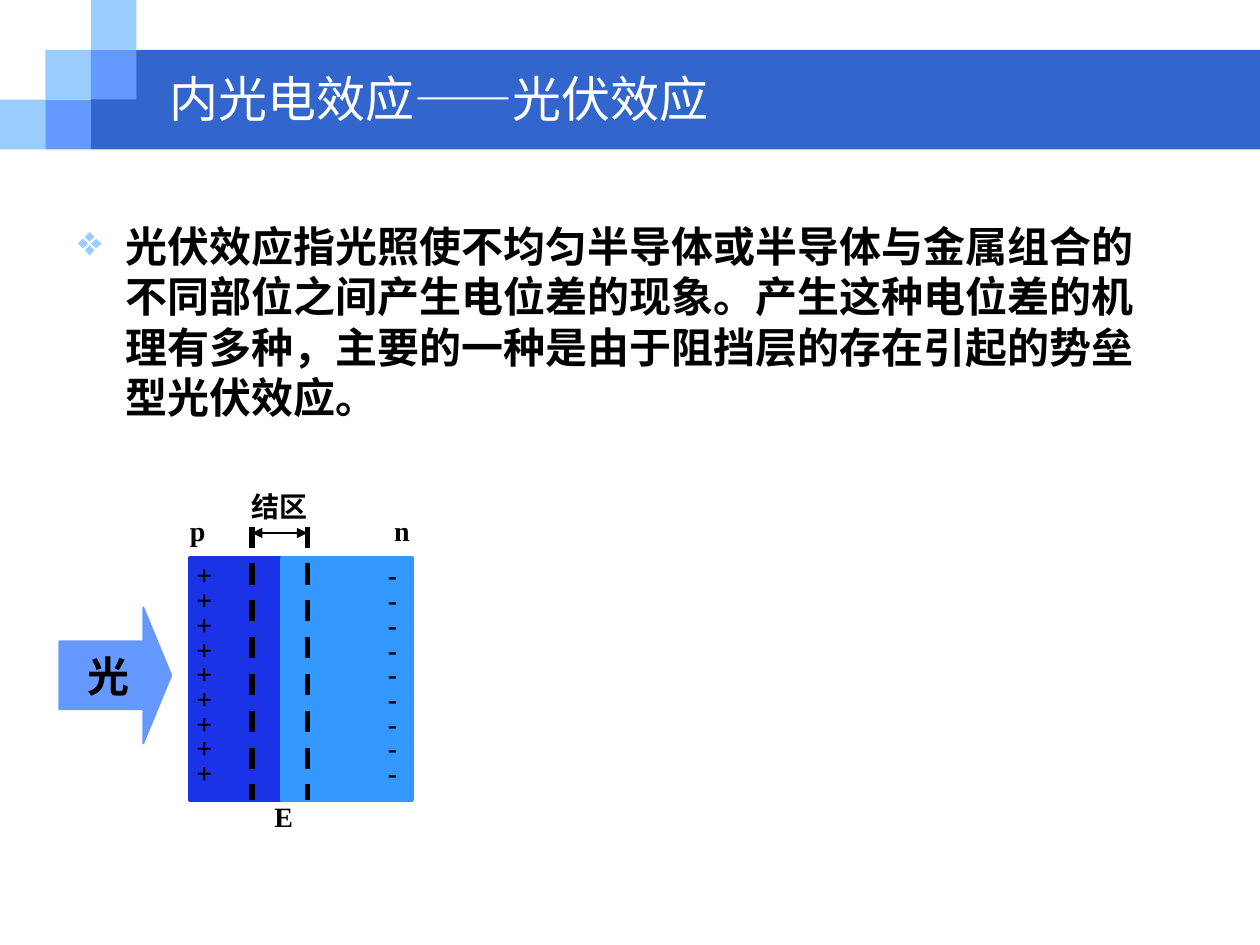
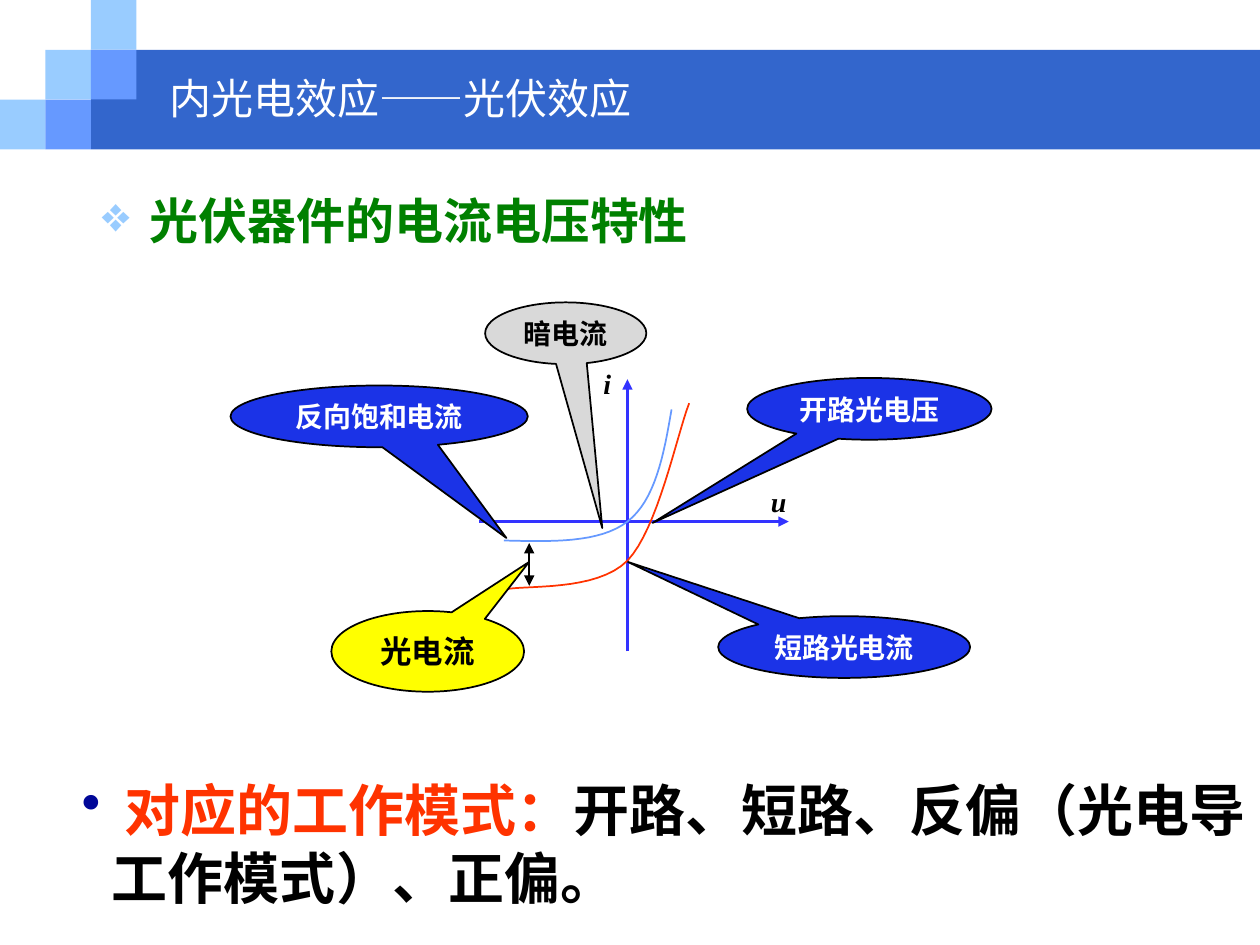
from pptx import Presentation
from pptx.dml.color import RGBColor
from pptx.enum.dml import MSO_LINE
from pptx.enum.shapes import MSO_CONNECTOR, MSO_SHAPE as SHAPE
from pptx.enum.text import MSO_ANCHOR as ANCHOR, PP_ALIGN as ALIGN
from pptx.oxml.ns import qn
from pptx.util import Inches, Pt
from lxml.etree import SubElement

COLS, ROWS = 100, 75
CELL = Inches(0.1)
BLACK, WHITE = "000000", "FFFFFF"
BAND, PALE, MID = "3366CC", "99CCFF", "6699FF"
DEEP, SKY, AXIS = "1B33E7", "3399FF", "3333FF"
RED, GREEN, YELLOW, GREY, NAVY = "FF3300", "008000", "FFFF00", "D9D9D9", "000798"
SERIF, SANS, TITLE_FONT, CJK = "Times New Roman", "DejaVu Sans", "Arial", "Noto Sans CJK SC"
LEADING = 1.2
TILE_W, TILE_H = 3.61, 3.95


def rgb(color):
    """Turn a hex string into a colour."""
    return RGBColor.from_string(color)


def grid(*cells):
    """Turn grid cells into slide lengths."""
    return [round(c * CELL) for c in cells]


def set_bullet(p, char, color, hang):
    """Give a paragraph a coloured bullet and a hanging indent."""
    pPr = p._p.get_or_add_pPr()
    indent = grid(hang)[0]
    pPr.set("marL", str(indent))
    pPr.set("indent", str(-indent))
    SubElement(SubElement(pPr, qn("a:buClr")), qn("a:srgbClr")).set("val", color)
    SubElement(pPr, qn("a:buChar")).set("char", char)


def style_runs(p, size, colors, font, bold, italic=False):
    """Format the runs of a paragraph, one colour each."""
    p.line_spacing = Pt(size * LEADING)
    for r, color in zip(p.runs, colors):
        f = r.font
        f.size, f.name, f.bold, f.italic = Pt(size), font, bold, italic
        f.color.rgb = rgb(color)
        SubElement(r._r.get_or_add_rPr(), qn("a:ea")).set("typeface", CJK)


def add_text(s, box, runs, size, font=SERIF, bold=True, italic=False,
             bullet=None, anchor=ANCHOR.TOP):
    """Add a text box from (text, colour) runs."""
    tf = s.shapes.add_textbox(*grid(*box)).text_frame
    tf.word_wrap = True
    tf.vertical_anchor = anchor
    p = tf.paragraphs[0]
    if bullet:
        set_bullet(p, *bullet)
    for text, _ in runs:
        p.add_run().text = text
    style_runs(p, size, [color for _, color in runs], font, bold, italic)


def add_label(s, x, y, text, width=3.4, italic=False):
    """Add a short bold diagram label."""
    add_text(s, (x, y, width, 3.7), [(text, BLACK)], 16, italic=italic)


def add_block(s, kind, box, fill, line=None, weight=1, adjust=()):
    """Add a flat filled preset shape."""
    sp = s.shapes.add_shape(kind, *grid(*box))
    sp.shadow.inherit = False
    sp.fill.solid()
    sp.fill.fore_color.rgb = rgb(fill)
    if line:
        sp.line.color.rgb = rgb(line)
        sp.line.width = Pt(weight)
    else:
        sp.line.fill.background()
    for i, value in enumerate(adjust):
        sp.adjustments[i] = value
    return sp


def caption(sp, text, size, color):
    """Write a centred bold caption in a shape."""
    tf = sp.text_frame
    tf.margin_left = tf.margin_right = tf.margin_top = tf.margin_bottom = 0
    tf.word_wrap = False
    tf.vertical_anchor = ANCHOR.MIDDLE
    p = tf.paragraphs[0]
    p.text = text
    p.alignment = ALIGN.CENTER
    style_runs(p, size, [color], SERIF, True)


def add_callout(s, box, tip, text, fill, color=WHITE, size=16):
    """Add an oval callout whose pointer ends at tip."""
    x, y, w, h = box
    adjust = (tip[0] - x) / w - 0.5, (tip[1] - y) / h - 0.5
    sp = add_block(s, SHAPE.OVAL_CALLOUT, box, fill, BLACK, adjust=adjust)
    caption(sp, text, size, color)


def add_line(s, start, end, color=BLACK, weight=1, ends=(), dash=None):
    """Add a straight line with optional arrowheads and dashes."""
    c = s.shapes.add_connector(MSO_CONNECTOR.STRAIGHT, *grid(*start, *end))
    c.line.color.rgb = rgb(color)
    c.line.width = Pt(weight)
    if dash:
        c.line.dash_style = dash
    for name in ends:
        SubElement(c.line._get_or_add_ln(), qn(f"a:{name}")).set("type", "triangle")
    SubElement(c._element.spPr, qn("a:effectLst"))


def bezier(a, b, c, d, steps=16):
    """List the points after the first on a cubic curve."""
    points = []
    for i in range(1, steps + 1):
        t = i / steps
        u = 1 - t
        weights = u ** 3, 3 * u * u * t, 3 * u * t * t, t ** 3
        points.append(tuple(grid(*(sum(k * v for k, v in zip(weights, axis))
                                   for axis in zip(a, b, c, d)))))
    return points


def add_curve(s, knots, color):
    """Draw an open curve of joined cubic pieces."""
    points = [q for i in range(0, len(knots) - 1, 3) for q in bezier(*knots[i:i + 4])]
    builder = s.shapes.build_freeform(*grid(*knots[0]))
    builder.add_line_segments(points, close=False)
    sp = builder.convert_to_shape()
    sp.shadow.inherit = False
    sp.fill.background()
    sp.line.color.rgb = rgb(color)
    sp.line.width = Pt(1)


def add_page(prs, title_size):
    """Add a slide with the band, the tiles and the title."""
    s = prs.slides.add_slide(prs.slide_layouts[6])
    add_block(s, SHAPE.RECTANGLE,
              (2 * TILE_W, TILE_H, COLS - 2 * TILE_W, 2 * TILE_H), BAND)
    for col, row, fill in ((0, 2, PALE), (1, 1, PALE), (2, 0, PALE),
                           (2, 1, MID), (1, 2, MID)):
        add_block(s, SHAPE.RECTANGLE,
                  (col * TILE_W, row * TILE_H, TILE_W, TILE_H), fill)
    add_text(s, (12.5, 5, 80.8, 5.5), [("内光电效应——光伏效应", WHITE)],
             title_size, TITLE_FONT, bold=False, anchor=ANCHOR.MIDDLE)
    return s


def add_junction(s):
    """Draw the lit p-n junction."""
    top, height = 44.3, 19.2
    left, middle, right = 15.1, 22.4, 32.7
    for x, end, fill in ((left, middle, DEEP), (middle, right, SKY)):
        add_block(s, SHAPE.RECTANGLE, (x, top, end - x, height), fill, fill, 2.25)
    zone = 20, 24.4
    for x in zone:
        add_line(s, (x, 41.8), (x, top + height), weight=3, dash=MSO_LINE.DASH)
    add_line(s, (zone[0], 42.3), (zone[1], 42.3), ends=("headEnd", "tailEnd"))
    add_label(s, 19, 38.4, "结区", width=7.9)
    add_label(s, 14.1, 40.3, "p")
    add_label(s, 30.3, 40.3, "n")
    add_label(s, 20.8, 63, "E")
    for x, sign in ((14.6, "+"), (29.8, "-")):
        for i in range(9):
            add_label(s, x, 43.8 + i * 1.96, sign)
    light = add_block(s, SHAPE.RIGHT_ARROW, (4.7, 48.2, 8.9, 10.8), MID, MID,
                      adjust=(0.5, 0.25))
    caption(light, "光", 24, BLACK)


def add_current_voltage(s):
    """Draw the current-voltage curves and their callouts."""
    add_line(s, (38, 41.4), (62.6, 41.4), AXIS, 1.5, ["tailEnd"])
    add_line(s, (49.8, 51.7), (49.8, 30.1), AXIS, 1.5, ["tailEnd"])
    add_label(s, 46.9, 28.6, "i", italic=True)
    add_label(s, 60.2, 38, "u", italic=True)
    add_curve(s, [(40, 42.9), (43.8, 43), (47.6, 43.1), (49.8, 41.4),
                  (52, 39.7), (52.7, 36.1), (53.3, 32.5)], MID)
    add_curve(s, [(40, 46.8), (41.6, 46.4), (47.3, 47), (49.8, 44.5),
                  (52.2, 42), (53.7, 34.6), (54.7, 32)], RED)
    add_callout(s, (57, 48.9, 20, 4.9), (49.84, 44.6), "短路光电流", DEEP)
    add_callout(s, (59.3, 30, 19.4, 4.9), (51.8, 41.5), "开路光电压", DEEP)
    add_line(s, (42, 43.1), (42, 46.5), ends=("headEnd", "tailEnd"))
    add_callout(s, (26.3, 48.5, 15.3, 6.4), (42, 44.6), "光电流", YELLOW, BLACK, 18)
    add_callout(s, (18.3, 30.6, 23.6, 4.9), (40.2, 42.7), "反向饱和电流", DEEP)
    add_callout(s, (38.5, 24, 12.8, 4.9), (47.8, 41.9), "暗电流", GREY, BLACK)


def main():
    """Build and save the two slides."""
    prs = Presentation()
    prs.slide_width, prs.slide_height = grid(COLS, ROWS)
    diamond = "❖", PALE, 3.8

    s = add_page(prs, 28)
    add_text(s, (5.2, 17, 88.1, 19.7), [(
        "光伏效应指光照使不均匀半导体或半导体与金属组合的不同部位之间产生电位差的现象。"
        "产生这种电位差的机理有多种，主要的一种是由于阻挡层的存在引起的势垒型光伏效应。",
        BLACK)], 24, SANS, bullet=diamond)
    add_junction(s)

    s = add_page(prs, 24)
    add_text(s, (7.1, 14.6, 81.9, 8.5), [("光伏器件的电流电压特性", GREEN)],
             28, SANS, bullet=diamond)
    add_text(s, (5.5, 61.1, 94.5, 11.7),
             [(" 对应的工作模式：", RED),
              ("开路、短路、反偏（光电导工作模式）、正偏。", BLACK)],
             32, bullet=("•", NAVY, 2.4))
    add_current_voltage(s)
    prs.save("out.pptx")


if __name__ == "__main__":
    main()
